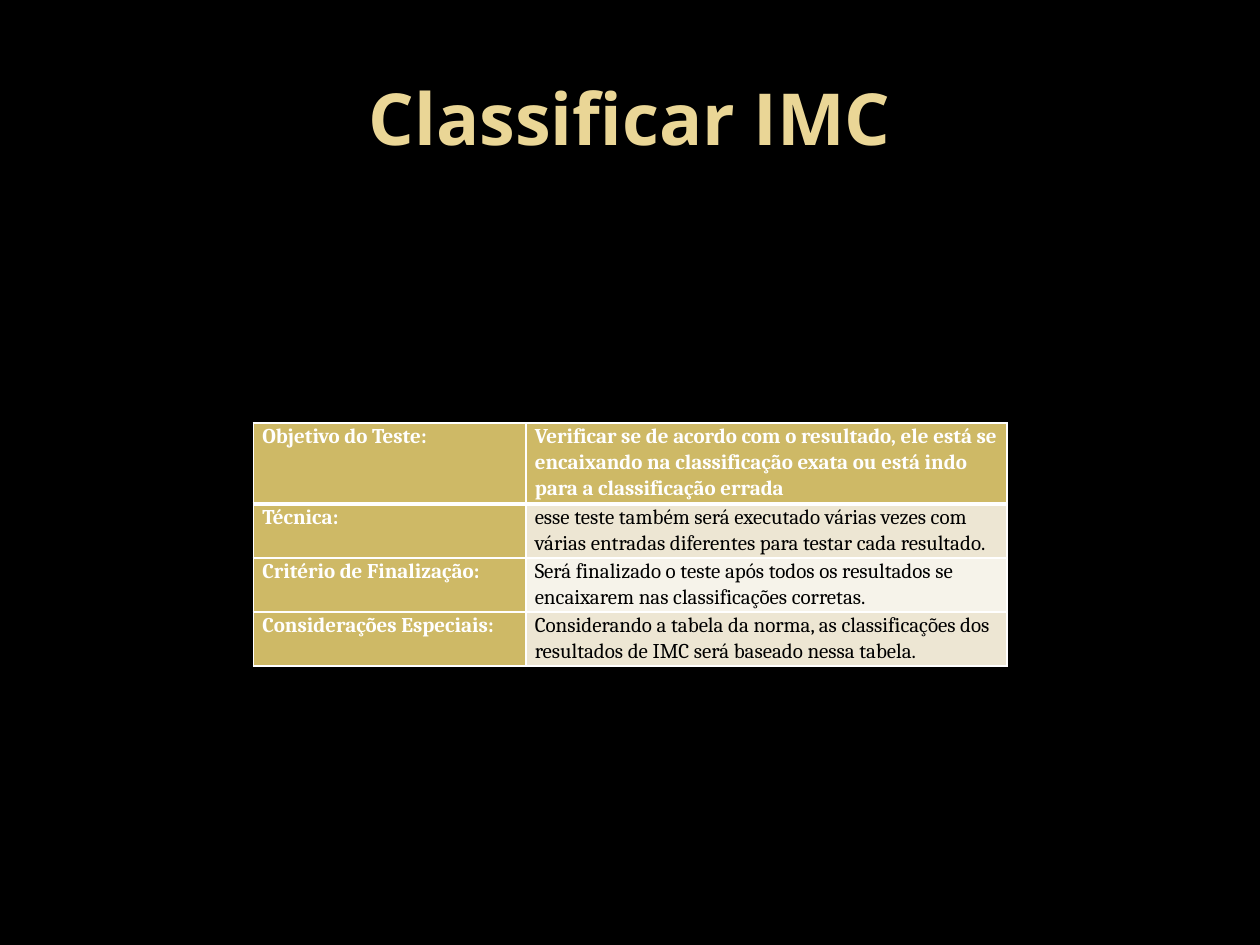
from dataclasses import dataclass
from lxml.etree import SubElement
from pptx import Presentation
from pptx.dml.color import RGBColor
from pptx.enum.text import MSO_ANCHOR, PP_ALIGN
from pptx.oxml.ns import qn
from pptx.util import Cm, Pt


@dataclass(frozen=True)
class Theme:
    back: str = "000000"
    title: str = "EAD696"
    head: str = "CEB966"
    bands: tuple = ("F6F3EA", "EDE6D3")
    light: str = "FFFFFF"
    dark: str = "000000"
    display: str = "Open Sans"
    body: str = "Cambria"
    large: int = 41
    small: int = 12


THEME = Theme()
ROWS = [
    ("Objetivo do Teste:",
     "Verificar se de acordo com o resultado, ele está se encaixando na "
     "classificação exata ou está indo para a classificação errada"),
    ("Técnica:",
     "esse teste também será executado várias vezes com várias entradas "
     "diferentes para testar cada resultado."),
    ("Critério de Finalização:",
     "Será finalizado o teste após todos os resultados se encaixarem nas "
     "classificações corretas."),
    ("Considerações Especiais:",
     "Considerando a tabela da norma, as classificações dos resultados de "
     "IMC será baseado nessa tabela."),
]


def set_font(font, name, size, color, bold):
    font.name, font.size, font.bold = name, Pt(size), bold
    font.color.rgb = RGBColor.from_string(color)


def add_title(slide, box, text):
    shape = slide.shapes.add_textbox(*map(Cm, box))
    frame = shape.text_frame
    frame.word_wrap = True
    frame.vertical_anchor = MSO_ANCHOR.MIDDLE
    para = frame.paragraphs[0]
    para.text = text
    para.alignment = PP_ALIGN.CENTER
    set_font(para.font, THEME.display, THEME.large, THEME.title, True)


def add_edges(cell, base):
    props = cell._tc.get_or_add_tcPr()
    for side in "LRTB":
        width = base if side == "B" else 1
        line = SubElement(props, qn(f"a:ln{side}"), w=str(Pt(width)))
        fill = SubElement(line, qn("a:solidFill"))
        SubElement(fill, qn("a:srgbClr"), val=THEME.light)


def fill_cell(cell, text, row, col):
    strong = row == 0 or col == 0
    cell.margin_left = cell.margin_right = Cm(0.18)
    cell.margin_top = cell.margin_bottom = 0
    add_edges(cell, 3 if row == 0 else 1)
    cell.fill.solid()
    color = THEME.head if strong else THEME.bands[row % 2]
    cell.fill.fore_color.rgb = RGBColor.from_string(color)
    para = cell.text_frame.paragraphs[0]
    para.text = text
    para.line_spacing = 1.07
    para.space_after = Pt(6)
    ink = THEME.light if strong else THEME.dark
    set_font(para.font, THEME.body, THEME.small, ink, strong)


def add_grid(slide, box, rows):
    left, top, width, height = box
    frame = slide.shapes.add_table(len(rows), 2, *map(Cm, box))
    table = frame.table
    label = 5.49
    table.columns[0].width = Cm(label)
    table.columns[1].width = Cm(width - label)
    first = height * 0.33
    rest = (height - first) / (len(rows) - 1)
    for row, texts in enumerate(rows):
        table.rows[row].height = Cm(rest if row else first)
        for col, text in enumerate(texts):
            fill_cell(table.cell(row, col), text, row, col)


def main():
    deck = Presentation()
    deck.slide_width, deck.slide_height = Cm(25.4), Cm(19.05)
    slide = deck.slides.add_slide(deck.slide_layouts[6])
    back = slide.background.fill
    back.solid()
    back.fore_color.rgb = RGBColor.from_string(THEME.back)
    add_title(slide, (1.27, 0.76, 22.86, 3.18), "Classificar IMC")
    add_grid(slide, (5.11, 8.53, 15.19, 4.7), ROWS)
    deck.save("out.pptx")


if __name__ == "__main__":
    main()
